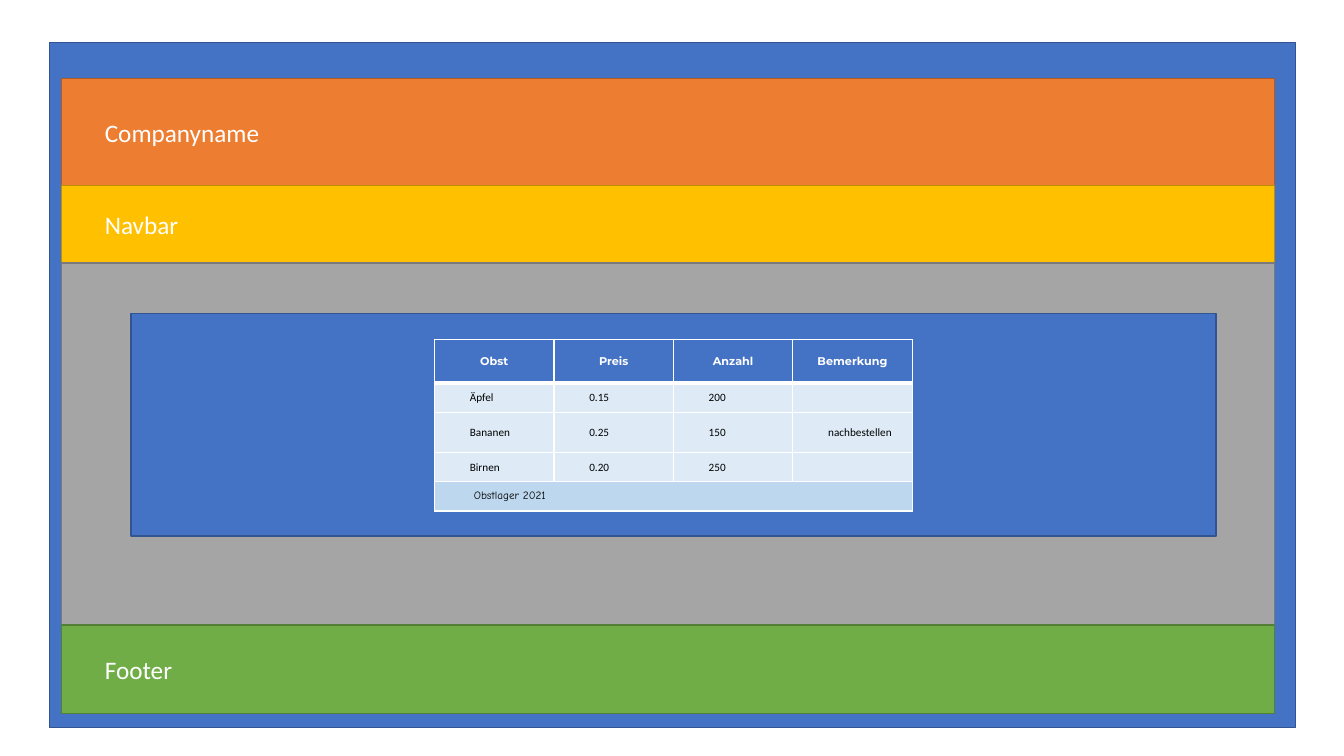
from dataclasses import dataclass

from lxml.etree import SubElement
from pptx import Presentation
from pptx.dml.color import RGBColor
from pptx.enum.shapes import MSO_SHAPE as Preset
from pptx.enum.text import MSO_ANCHOR as Anchor, MSO_AUTO_SIZE as AutoSize, PP_ALIGN as Align
from pptx.oxml.ns import qn
from pptx.util import Inches, Pt


@dataclass(frozen=True)
class Theme:
    """Colours, fonts and type sizes of the page sketch."""
    blue: tuple = ("4472C4", "325491")
    orange: tuple = ("ED7D31", "AF5C24")
    yellow: tuple = ("FFC000", "BD8E00")
    green: tuple = ("70AD47", "538035")
    grey: tuple = ("A5A5A5", "7A7A7A")
    white: str = "FFFFFF"
    black: str = "000000"
    row_tint: str = "DEEBF7"
    caption_tint: str = "BDD7EE"
    body_font: str = "Calibri"
    header_font: str = "Montserrat"
    caption_font: str = "Comic Neue"
    band_size: int = 18
    table_size: int = 8


def apply(target, values):
    """Set every attribute in values on target."""
    for name, value in values.items():
        setattr(target, name, value)


class Page:
    """Holds the theme and the current slide, and draws its elements."""

    def __init__(self, slide, theme):
        self.slide, self.theme = slide, theme

    def style_text(self, frame, text, size, font, colour, bold=False, align=Align.LEFT):
        """Write one formatted paragraph into a text frame."""
        paragraph = frame.paragraphs[0]
        apply(paragraph, {"alignment": align, "line_spacing": 1.0})
        if text:
            run = paragraph.add_run()
            run.text = text
            apply(run.font, {"size": Pt(size), "name": font, "bold": bold})
            run.font.color.rgb = RGBColor.from_string(colour)
        else:
            SubElement(paragraph._p, qn("a:endParaRPr"), sz=str(size * 100))

    def dress(self, block, box, colours, label=""):
        """Place a block, colour its fill and outline, and label it."""
        fill, outline = map(RGBColor.from_string, colours)
        apply(block, dict(zip(("left", "top", "width", "height"), map(Inches, box))))
        block.shadow.inherit = False
        block.fill.solid()
        block.fill.fore_color.rgb = fill
        block.line.color.rgb = outline
        block.line.width = Pt(1)
        if label:
            apply(block.text_frame, {
                "word_wrap": True, "auto_size": AutoSize.NONE,
                "vertical_anchor": Anchor.MIDDLE, "margin_left": Inches(0.43),
                "margin_right": Inches(0.1), "margin_top": Inches(0.05),
                "margin_bottom": Inches(0.05)})
            self.style_text(block.text_frame, label, self.theme.band_size,
                            self.theme.body_font, self.theme.white)

    def panel(self, box, colours, label=""):
        """Draw a rectangular page region."""
        region = self.slide.shapes.add_shape(Preset.RECTANGLE, *map(Inches, box))
        self.dress(region, box, colours, label)

    def title(self, box, colours, label):
        """Turn the title placeholder into a band above what is drawn so far."""
        heading = self.slide.shapes.title
        heading.element.getparent().append(heading.element)
        self.dress(heading, box, colours, label)

    def cell(self, cell, text, fill, indent, top=1, bottom=1, **text_style):
        """Fill, border and write one table cell."""
        properties = cell._tc.get_or_add_tcPr()
        for side, width in (("L", 1), ("R", 1), ("T", top), ("B", bottom)):
            edge = SubElement(properties, qn(f"a:ln{side}"), w=str(Pt(width)))
            SubElement(SubElement(edge, qn("a:solidFill")), qn("a:srgbClr"), val=self.theme.white)
        cell.fill.solid()
        cell.fill.fore_color.rgb = RGBColor.from_string(fill)
        apply(cell, {"vertical_anchor": Anchor.MIDDLE, "margin_left": Inches(indent),
                     "margin_right": Inches(0.1), "margin_top": Inches(0.05),
                     "margin_bottom": Inches(0.05)})
        self.style_text(cell.text_frame, text, self.theme.table_size, **text_style)

    def stock_table(self, box, header, stock, caption, heights):
        """Draw the stock table with a header row and a merged caption row."""
        theme = self.theme
        rows = [header, *stock, [caption] + [""] * (len(header) - 1)]
        table = self.slide.shapes.add_table(len(rows), len(header), *map(Inches, box)).table
        for column in table.columns:
            column.width = Inches(box[2] / len(header))
        last = len(rows) - 1
        body = {"fill": theme.row_tint, "indent": 0.35, "font": theme.body_font,
                "colour": theme.black}
        special = {
            0: {"fill": theme.blue[0], "indent": 0.1, "bottom": 3, "bold": True,
                "font": theme.header_font, "colour": theme.white, "align": Align.CENTER},
            1: {"top": 3},
            last: {"fill": theme.caption_tint, "indent": 0.39, "font": theme.caption_font}}
        for r, (texts, height) in enumerate(zip(rows, heights)):
            table.rows[r].height = Inches(height)
            for c, text in enumerate(texts):
                self.cell(table.cell(r, c), text, **{**body, **special.get(r, {})})
        table.cell(last, 0).merge(table.cell(last, len(header) - 1))


def main():
    """Build the page layout sketch and save it."""
    deck = Presentation()
    apply(deck, {"slide_width": Inches(13.33), "slide_height": Inches(7.5)})
    theme = Theme()
    page = Page(deck.slides.add_slide(deck.slide_layouts[5]), theme)

    band_left, band_width = 0.61, 12.03
    page.panel((0.49, 0.42, 12.36, 6.8), theme.blue)
    top = 0.78
    for draw, height, colours, label in (
            (page.title, 1.06, theme.orange, "Companyname"),
            (page.panel, 0.77, theme.yellow, "Navbar"),
            (page.panel, 3.59, theme.grey, ""),
            (page.panel, 0.88, theme.green, "Footer")):
        draw((band_left, top, band_width, height), colours, label)
        top += height

    page.panel((1.3, 3.11, 10.76, 2.21), theme.blue)
    page.stock_table(
        (4.31, 3.37, 4.74, 1.7),
        ["Obst", "Preis", "Anzahl", "Bemerkung"],
        [["Äpfel", "0.15", "200", ""],
         ["Bananen", "0.25", "150", "nachbestellen"],
         ["Birnen", "0.20", "250", ""]],
        "Obstlager 2021", (0.43, 0.29, 0.4, 0.29, 0.29))
    deck.save("out.pptx")


main()
